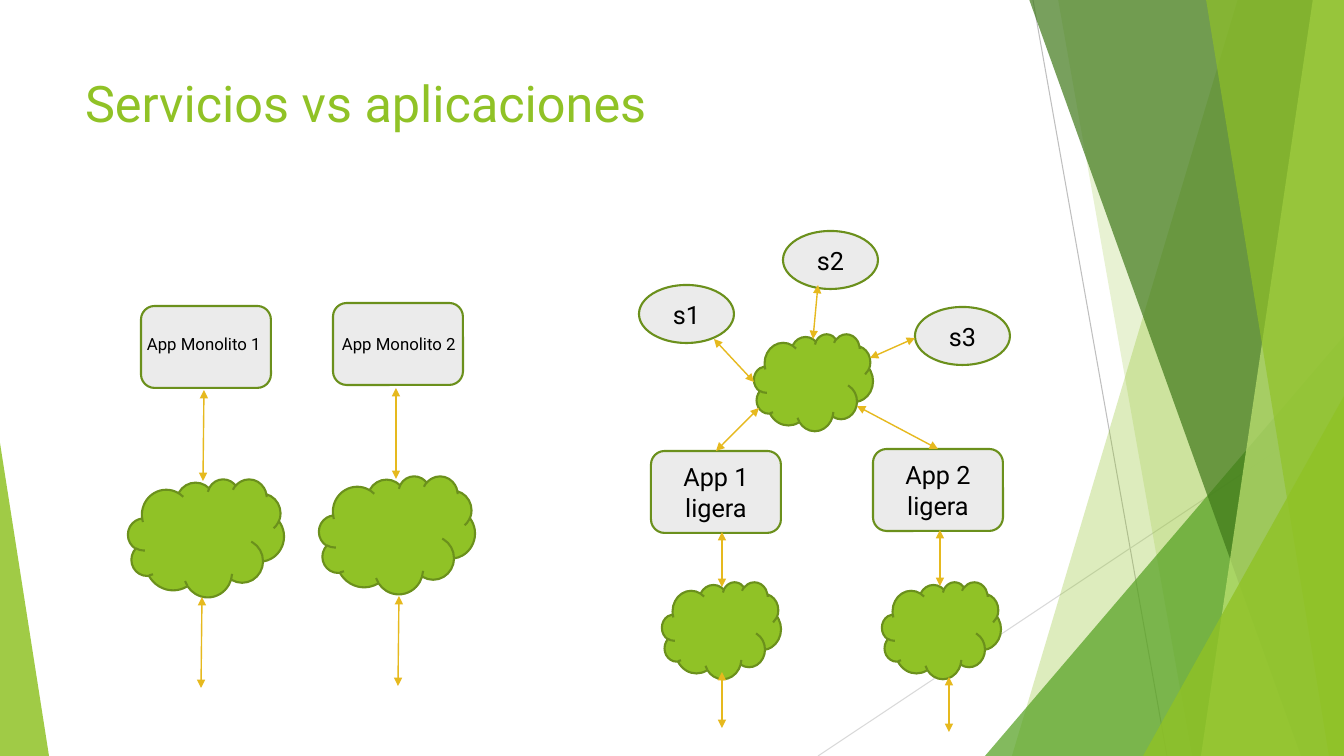
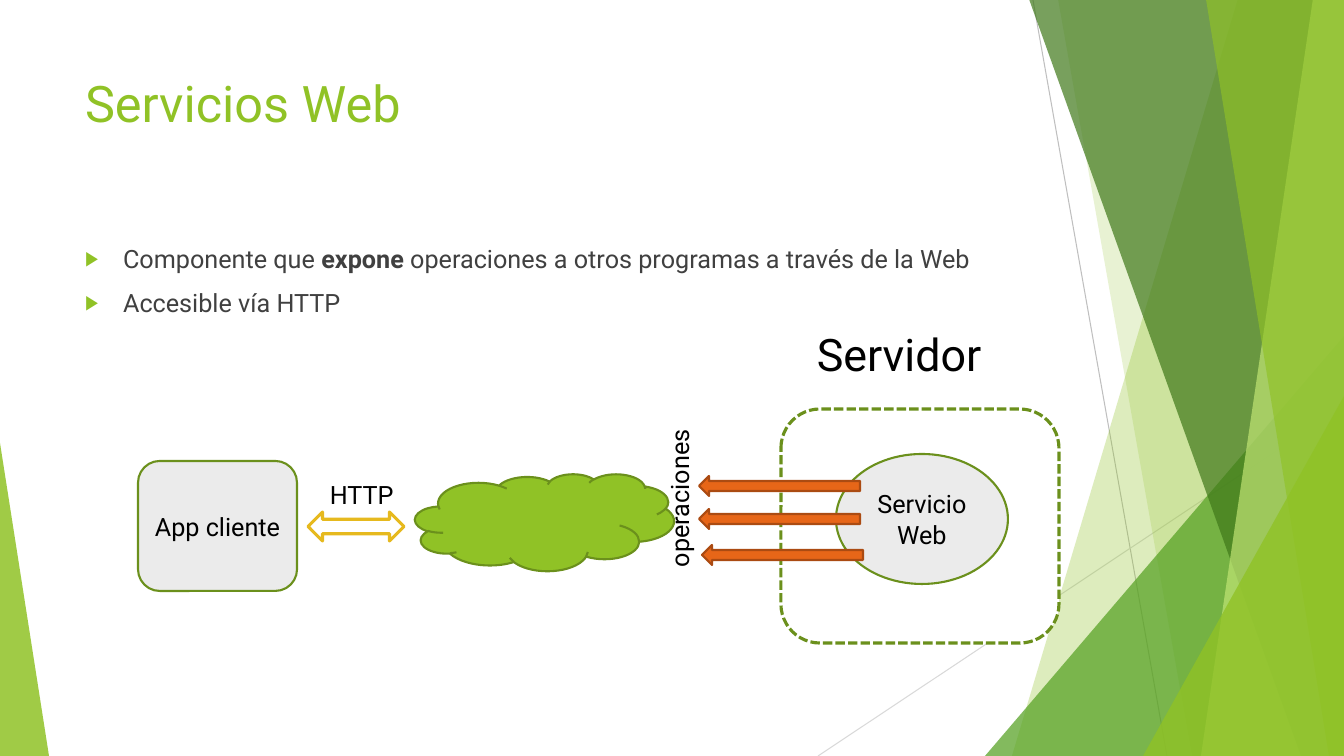
import pptx
import pptx.util
import pptx.oxml
import pptx.oxml.ns
import pptx.oxml.xmlchemy
import pptx.dml.color
import pptx.enum.dml
import pptx.enum.shapes
import pptx.enum.text

PX = 9072
FONT = "Roboto"
HUES = {
    "lime": "90C226", "leaf": "54A021", "pine": "3F7819", "mint": "C0E474",
    "edge": "6B901C", "pale": "EBEBEB", "white": "FFFFFF", "black": "000000",
    "text": "404040", "gold": "E6B91E", "rust": "E76618", "brown": "AB4B12",
    "grey": "BFBFBF", "mist": "D9D9D9",
}
Pt = pptx.util.Pt
Kind = pptx.enum.shapes.MSO_SHAPE
Wire = pptx.enum.shapes.MSO_CONNECTOR.STRAIGHT
Align = pptx.enum.text.PP_ALIGN
Anchor = pptx.enum.text.MSO_ANCHOR
qn = pptx.oxml.ns.qn
Node = pptx.oxml.xmlchemy.OxmlElement
RGB = pptx.dml.color.RGBColor.from_string


def write(shape, text, size=18, hue="black", align=Align.LEFT,
          anchor=Anchor.TOP, vert=None, bullet=None):
    frame = shape.text_frame
    frame.word_wrap = True
    frame.auto_size = pptx.enum.text.MSO_AUTO_SIZE.NONE
    frame.vertical_anchor = anchor
    if vert:
        frame._txBody.bodyPr.set("vert", vert)
    for row, line in enumerate(text.split("\n")):
        para = frame.add_paragraph() if row else frame.paragraphs[0]
        para.alignment = align
        for part, words in enumerate(line.split("*")):
            run = para.add_run()
            run.text = words
            run.font.name = FONT
            run.font.size = Pt(size)
            run.font.bold = part % 2 == 1
            run.font.color.rgb = RGB(HUES[hue])
        if bullet:
            para.space_before = Pt(10)
            props = para._p.get_or_add_pPr()
            props.set("marL", str(38 * PX))
            props.set("indent", str(-38 * PX))
            tint = pptx.oxml.parse_xml(
                '<a:buClr xmlns:a="http://schemas.openxmlformats.org/drawingml/2006/main">'
                f'<a:srgbClr val="{HUES["lime"]}"/></a:buClr>')
            props.append(tint)
            for tag, key, val in (("a:buSzPct", "val", "80000"), ("a:buChar", "char", bullet)):
                node = Node(tag)
                node.set(key, val)
                props.append(node)


def paint(shape, fill=None, line=None, width=1, alpha=100, heads=False):
    if fill:
        shape.shadow.inherit = False
        shape.fill.solid()
        shape.fill.fore_color.rgb = RGB(HUES[fill])
        if alpha < 100:
            node = Node("a:alpha")
            node.set("val", str(alpha * 1000))
            shape.element.spPr.find(".//" + qn("a:srgbClr")).append(node)
    if line:
        shape.line.color.rgb = RGB(HUES[line])
        shape.line.width = Pt(width)
    else:
        shape.line.fill.background()
    if heads:
        for tag in ("a:headEnd", "a:tailEnd"):
            node = Node(tag)
            node.set("type", "triangle")
            shape.element.spPr.find(qn("a:ln")).append(node)
    if not fill:
        shape.element.spPr.append(Node("a:effectLst"))


deck = pptx.Presentation()
deck.slide_width = 1344 * PX
deck.slide_height = 756 * PX

apps = deck.slides.add_slide(deck.slide_layouts[5])
web = deck.slides.add_slide(deck.slide_layouts[1])

decor = []
for ends, hue in (((1033, 0, 1167, 756), "grey"), ((1344, 406, 818, 756), "mist")):
    wire = apps.shapes.add_connector(Wire, *[n * PX for n in ends])
    paint(wire, line=hue, width=0.75)
    decor.append(wire)

bands = [
    ("lime", 30, (1238, 1344, 1344, 1012)),
    ("lime", 20, (1058, 1344, 1344, 1192)),
    ("leaf", 72, (985, 336, 359, 420), 1),
    ("pine", 70, (1029, 1344, 1344, 1301)),
    ("mint", 70, (1313, 1344, 1344, 1201)),
    ("lime", 65, (1206, 1344, 1344, 1329)),
    ("lime", 80, (1143, 396, 201, 360), 1),
    ("lime", 85, (0, 443, 49, 313), 0),
]
for hue, alpha, spots, *peak in bands:
    if peak:
        band = apps.shapes.add_shape(Kind.ISOSCELES_TRIANGLE, *[n * PX for n in spots])
        band.adjustments[0] = peak[0]
    else:
        pts = list(zip(spots, (-1, -1, 756, 756)))
        pen = apps.shapes.build_freeform(*pts[0], scale=PX)
        pen.add_line_segments(pts[1:], close=True)
        band = pen.convert_to_shape()
    paint(band, hue, alpha=alpha)
    decor.append(band)

for num, item in enumerate(decor, 100):
    item.element.find(".//" + qn("p:cNvPr")).set("id", str(num))
    deck.slide_master.shapes.element.append(item.element)

for slide, name in ((apps, "Servicios vs aplicaciones"), (web, "Servicios Web")):
    title = slide.shapes.title
    title.left, title.top, title.width, title.height = [n * PX for n in (75, 67, 948, 145)]
    write(title, name, size=36, hue="lime")

body = web.placeholders[1]
body.left, body.top, body.width, body.height = [n * PX for n in (75, 238, 948, 427)]
write(body, "Componente que *expone* operaciones a otros programas a través de la Web\n"
      "Accesible vía HTTP", hue="text", bullet="▶")

looks = {
    "cloud": (Kind.CLOUD, "lime", "edge", 1.5),
    "box": (Kind.ROUNDED_RECTANGLE, "pale", "edge", 1.5),
    "oval": (Kind.OVAL, "pale", "edge", 1.5),
    "host": (Kind.ROUNDED_RECTANGLE, "white", "edge", 2.25),
    "both": (Kind.LEFT_RIGHT_ARROW, "white", "gold", 2.25),
    "call": (Kind.LEFT_ARROW, "rust", "brown", 1.5),
}
parts = [
    (apps, "cloud", (156, 118), [(128, 479, ""), (319, 476, "")]),
    (apps, "cloud", (119, 97), [(754, 334, ""), (662, 582, ""), (882, 582, "")]),
    (apps, "box", (130, 82), [(141, 306, ""), (333, 303, ""),
                              (651, 451, "App 1 ligera"), (873, 449, "App 2 ligera")]),
    (apps, "oval", (95, 58), [(639, 285, "s1"), (783, 231, "s2"), (915, 307, "s3")]),
    (web, "cloud", (259, 97), [(415, 474, "")]),
    (web, "box", (159, 130), [(138, 461, "App cliente")]),
    (web, "host", (278, 234), [(781, 409, "")]),
    (web, "both", (96, 29), [(308, 512, "")]),
    (web, "oval", (172, 130), [(836, 454, "Servicio\nWeb")]),
    (web, "call", (161, 20), [(699, 476, ""), (699, 509, ""), (702, 545, "")]),
]
named = {}
for slide, look, size, spots in parts:
    kind, fill, line, width = looks[look]
    for left, top, text in spots:
        shape = slide.shapes.add_shape(kind, *[n * PX for n in (left, top, *size)])
        paint(shape, fill, line, width)
        if look == "host":
            shape.line.dash_style = pptx.enum.dml.MSO_LINE.SQUARE_DOT
        if text:
            write(shape, text, align=Align.CENTER, anchor=Anchor.MIDDLE)
            named[text] = shape

labels = [
    (apps, "App Monolito 1", (137, 329, 134, 30), 12, None),
    (apps, "App Monolito 2", (332, 329, 134, 30), 12, None),
    (web, "HTTP", (320, 474, 115, 40), 18, None),
    (web, "operaciones", (659, 346, 50, 231), 18, "vert270"),
    (web, "Servidor", (807, 322, 230, 65), 32, None),
]
for slide, text, place, size, vert in labels:
    label = slide.shapes.add_textbox(*[n * PX for n in place])
    write(label, text, size=size, vert=vert)

links = [
    (204, 390, 203, 481), (396, 388, 396, 479),
    (202, 597, 201, 688), (399, 596, 398, 686),
    (722, 532, 722, 587), (940, 530, 940, 586),
    (722, 672, 722, 728), (949, 677, 949, 732),
    (818, 285, 813, 339), (714, 339, 754, 382), (870, 358, 915, 338),
    (759, 408, 716, 451, "App 1 ligera"), (857, 406, 938, 449, "App 2 ligera"),
]
for link in links:
    wire = apps.shapes.add_connector(Wire, *[n * PX for n in link[:4]])
    for goal in link[4:]:
        wire.end_connect(named[goal], 0)
    paint(wire, line="gold", heads=True)

deck.save("out.pptx")
